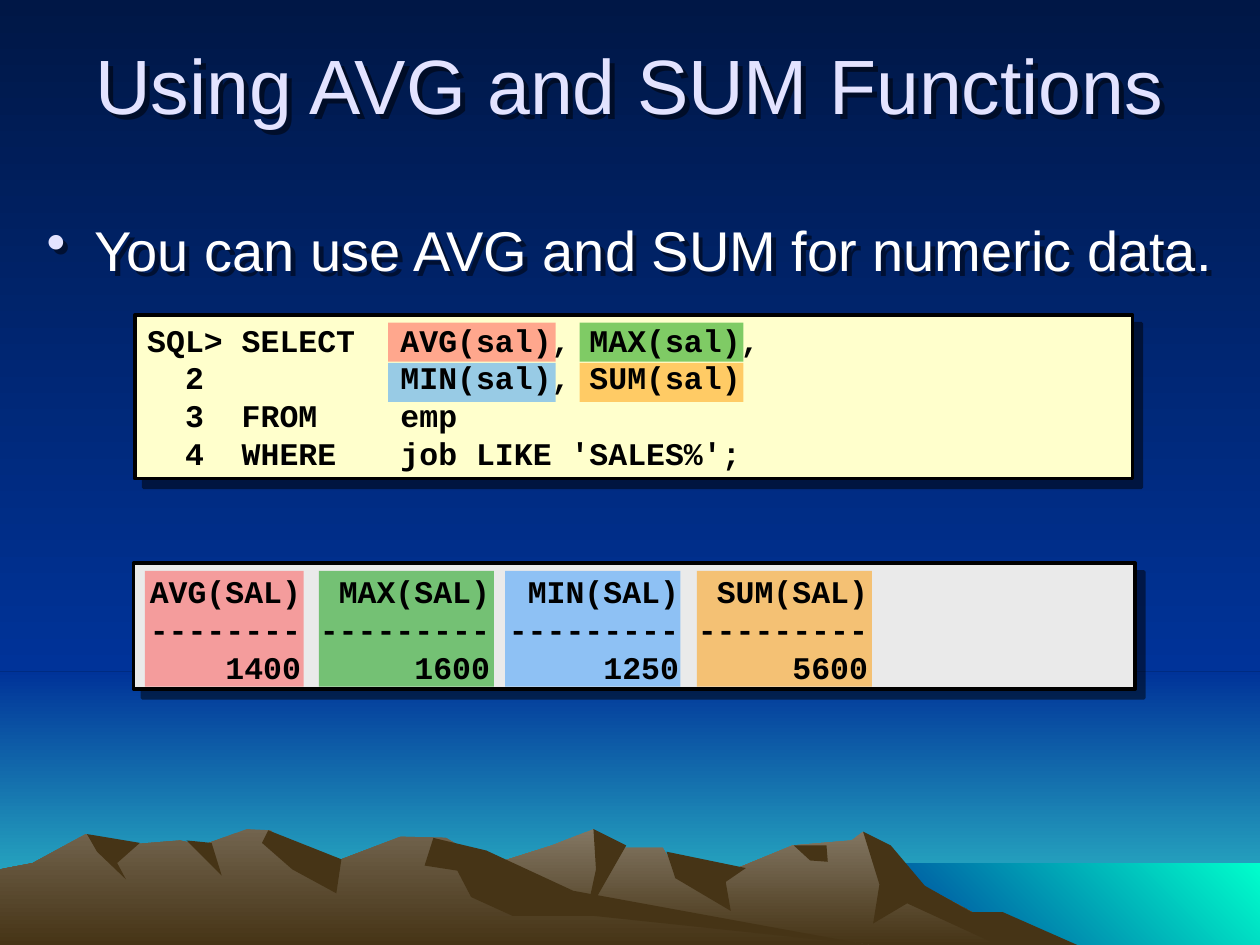
import pptx
import pptx.util
import pptx.dml.color
import pptx.enum.shapes
import pptx.enum.text
import pptx.oxml.ns
import lxml.etree

Inches, Pt = pptx.util.Inches, pptx.util.Pt
RGB = pptx.dml.color.RGBColor.from_string
ALIGN, ANCHOR = pptx.enum.text.PP_ALIGN, pptx.enum.text.MSO_ANCHOR

THEME = {
    "sans": "Arial", "mono": "Courier New",
    "title_pt": 44, "body_pt": 32, "code_pt": 18,
    "title": "E3E3FF", "body": "FFFFFF", "ink": "000000",
    "code_fill": "FFFFCC", "result_fill": "EAEAEA", "rock": "463416",
    "sky": ("001746", "003399"), "haze": ("003399", "33CCCC"), "sea": ("00FFCC", "003399"),
    "far_slope": ("837763", "463416"), "near_slope": ("72644E", "463416"),
    "marks": ("FF5050", "009900", "3399FF", "FF9900"),
}

# Content
TITLE = "Using AVG and SUM Functions"
BULLET = "You can use AVG and SUM for numeric data."
QUERY = ["SQL> SELECT\tAVG(sal), MAX(sal),", "\t2\t\tMIN(sal), SUM(sal)",
         "\t3\tFROM\temp", "\t4\tWHERE\tjob LIKE 'SALES%';"]
QUERY_TABS = [(0.45, "r"), (0.75, "l"), (2.01, "l")]
RESULTS = [("AVG(SAL)", "MAX(SAL)", "MIN(SAL)", "SUM(SAL)"),
           ("-" * 8, "-" * 9, "-" * 9, "-" * 9),
           ("1400", "1600", "1250", "5600")]
RESULT_TABS = [(1.2 + 1.5 * column, "r") for column in range(4)]

# Highlighted columns: left, width
QUERY_COLUMNS = [(3.08, 1.33), (4.6, 1.3)]
RESULT_COLUMNS = [(1.15, 1.26), (2.53, 1.39), (4.01, 1.39), (5.53, 1.39)]

# Landscape outlines, from back to front
LANDSCAPE = [
    ("far_slope", [
        (8.2, 7.5), (7.23, 6.98), (6.85, 6.6), (6.76, 6.67), (6.29, 6.71), (5.66, 6.97),
        (5.36, 6.9), (5.26, 6.73), (4.86, 6.73), (4.71, 6.58), (4.38, 6.71), (3.94, 6.85),
        (2.58, 7.5)]),
    ("rock", [
        (7.96, 7.24), (7.71, 7.24), (7.34, 7.03), (7.07, 6.71), (6.85, 6.6), (6.98, 7.02),
        (6.93, 7.33), (7.2, 7.17), (7.92, 7.5), (8.55, 7.5)]),
    ("rock", [(4.71, 6.58), (4.73, 6.9), (4.65, 7.27), (4.97, 6.71)]),
    ("rock", [(5.29, 6.76), (5.36, 6.97), (5.8, 7.23), (5.76, 7), (5.92, 6.89)]),
    ("rock", [(6.3, 6.71), (6.43, 6.83), (6.57, 6.84), (6.56, 6.71)]),
    ("near_slope", [
        (6.9, 7.5), (4.32, 7.12), (3.54, 6.65), (3.18, 6.64), (2.71, 6.82), (2.36, 6.81),
        (2.15, 6.59), (1.96, 6.58), (1.6, 6.71), (1.43, 6.67), (0.94, 6.71), (0.68, 6.62),
        (0.26, 6.85), (0, 6.9), (0, 7.5)]),
    ("rock", [(2.08, 6.69), (2.32, 6.9), (2.67, 7.09), (2.71, 6.82), (2.13, 6.59)]),
    ("rock", [
        (3.86, 6.75), (3.44, 6.65), (3.37, 6.87), (3.63, 6.91), (3.74, 7.12), (4.07, 7.27),
        (4.72, 7.27), (6.9, 7.5), (4.55, 7.07)]),
    ("rock", [(1.48, 6.67), (1.68, 6.69), (1.76, 6.95)]),
    ("rock", [(0.69, 6.62), (1.11, 6.69), (0.93, 6.85), (1, 6.98), (0.77, 6.76)]),
]


def add_xml(parent, tag, **attributes):
    return lxml.etree.SubElement(parent, pptx.oxml.ns.qn(tag), attributes)


def paint(fill, colours, angle=270):
    """Fill with one colour, or with a gradient when given a pair."""
    if isinstance(colours, str):
        fill.solid()
        fill.fore_color.rgb = RGB(colours)
        return
    fill.gradient()
    fill.gradient_angle = angle
    for stop, colour in zip(fill.gradient_stops, colours):
        stop.color.rgb = RGB(colour)


def finish(shape, colours, angle=270):
    paint(shape.fill, colours, angle)
    shape.line.fill.background()
    shape.shadow.inherit = False
    return shape


def add_box(slide, box, colours, angle=270):
    kind = pptx.enum.shapes.MSO_SHAPE.RECTANGLE
    return finish(slide.shapes.add_shape(kind, *map(Inches, box)), colours, angle)


def cast_shadow(shape, distance):
    shape.shadow.inherit = False
    effects = shape._element.spPr.find(pptx.oxml.ns.qn("a:effectLst"))
    shadow = add_xml(effects, "a:outerShdw", dist=str(Pt(distance)), dir="2700000",
                     algn="ctr", rotWithShape="0")
    add_xml(add_xml(shadow, "a:srgbClr", val=THEME["ink"]), "a:alpha", val="50000")


def add_panel(slide, box, colour):
    panel = add_box(slide, box, colour)
    panel.line.color.rgb = RGB(THEME["ink"])
    panel.line.width = Pt(2)
    cast_shadow(panel, 7.1)


def add_highlight(slide, box, colour):
    mark = add_box(slide, box, colour)
    tint = mark._element.spPr.find(".//" + pptx.oxml.ns.qn("a:srgbClr"))
    add_xml(tint, "a:alpha", val="50000")


def add_text(slide, box, lines, font, size, colour, bold=False, align=ALIGN.LEFT,
             anchor=ANCHOR.TOP, tabs=()):
    holder = slide.shapes.add_textbox(*map(Inches, box))
    frame = holder.text_frame
    frame.word_wrap = True
    frame.vertical_anchor = anchor
    for index, line in enumerate(lines):
        paragraph = frame.paragraphs[0] if index == 0 else frame.add_paragraph()
        paragraph.alignment = align
        run = paragraph.add_run()
        run.text = line
        run.font.name, run.font.size, run.font.bold = font, Pt(size), bold
        run.font.color.rgb = RGB(colour)
        if tabs:
            stops = add_xml(paragraph._p.get_or_add_pPr(), "a:tabLst")
            for position, side in tabs:
                add_xml(stops, "a:tab", pos=str(Inches(position)), algn=side)
    return holder


def main():
    deck = pptx.Presentation()
    deck.slide_width, deck.slide_height = Inches(10), Inches(7.5)
    slide = deck.slides.add_slide(deck.slide_layouts[6])

    # Sky, sea and mountains
    paint(slide.background.fill, THEME["sky"])
    add_box(slide, (0, 5.33, 10, 2.17), THEME["haze"])
    add_box(slide, (0, 0, 10, 5.33), THEME["sky"])
    add_box(slide, (6.83, 6.85, 3.17, 0.65), THEME["sea"], 225)
    for colour, outline in LANDSCAPE:
        points = [(Inches(x), Inches(y)) for x, y in outline]
        ridge = slide.shapes.build_freeform(*points[0])
        ridge.add_line_segments(points[1:], close=True)
        finish(ridge.convert_to_shape(), THEME[colour])

    # Panels and highlights
    add_panel(slide, (1.06, 4.47, 7.95, 1), THEME["result_fill"])
    add_panel(slide, (1.07, 2.5, 7.92, 1.3), THEME["code_fill"])
    for index, (colour, (left, width)) in enumerate(zip(THEME["marks"], RESULT_COLUMNS)):
        row, column = divmod(index, 2)
        query_left, query_width = QUERY_COLUMNS[column]
        add_highlight(slide, (query_left, 2.56 + 0.32 * row, query_width, 0.31), colour)
        add_highlight(slide, (left, 4.53, width, 0.92), colour)

    # Title and bullet
    title = add_text(slide, (0.5, 0.25, 9, 1.25), [TITLE], THEME["sans"],
                     THEME["title_pt"], THEME["title"], align=ALIGN.CENTER)
    body = add_text(slide, (0, 1.66, 10, 0.63), [BULLET], THEME["sans"],
                    THEME["body_pt"], THEME["body"], align=ALIGN.CENTER)
    point = body.text_frame.paragraphs[0]
    point.space_before = Pt(8)
    layout = point._p.get_or_add_pPr()
    layout.set("marL", str(Inches(0.38)))
    layout.set("indent", str(Inches(-0.38)))
    add_xml(add_xml(layout, "a:buClr"), "a:srgbClr", val=THEME["title"])
    add_xml(layout, "a:buChar", char="•")
    for heading in (title, body):
        cast_shadow(heading, 4)

    # Query and its results
    code = (THEME["mono"], THEME["code_pt"], THEME["ink"], True)
    rows = ["\t" + "\t".join(row) for row in RESULTS]
    add_text(slide, (1.09, 4.49, 7.92, 1), rows, *code, tabs=RESULT_TABS)
    add_text(slide, (1.07, 2.48, 7.95, 1.33), QUERY, *code, anchor=ANCHOR.MIDDLE,
             tabs=QUERY_TABS)
    deck.save("out.pptx")


if __name__ == "__main__":
    main()
